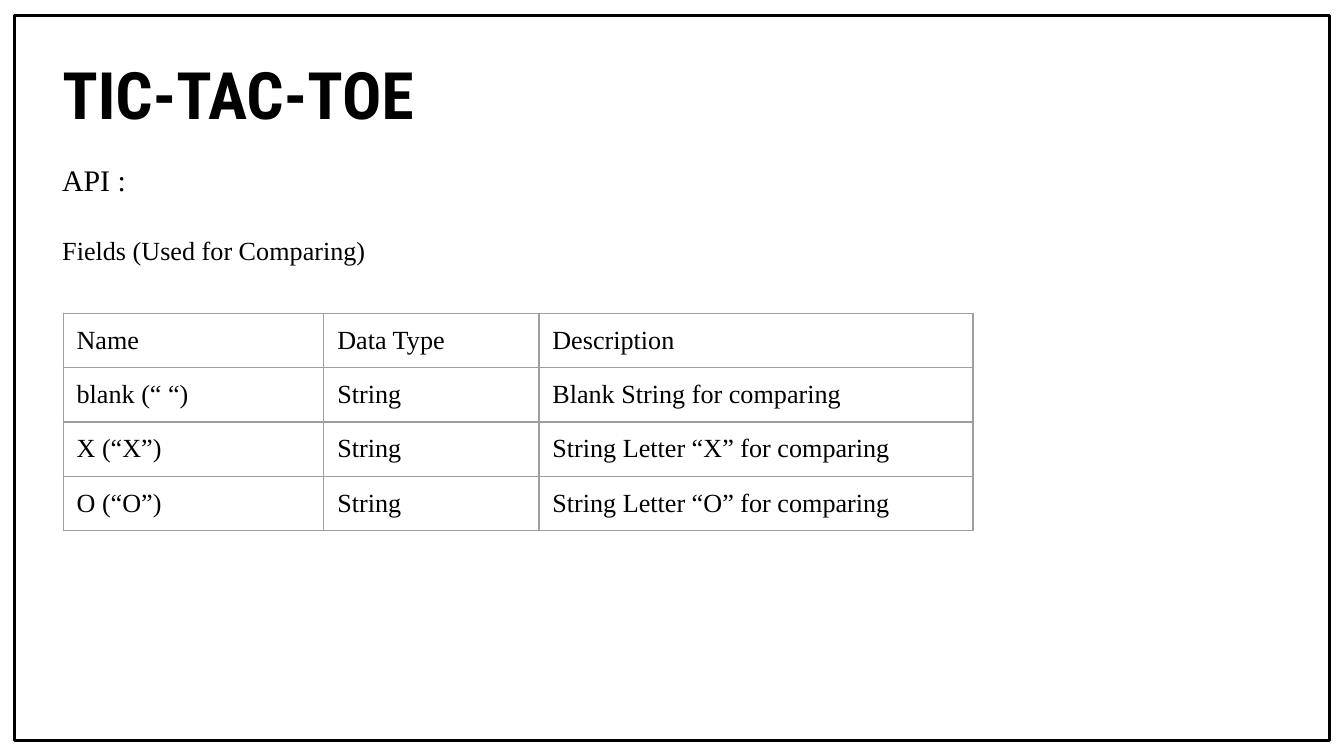
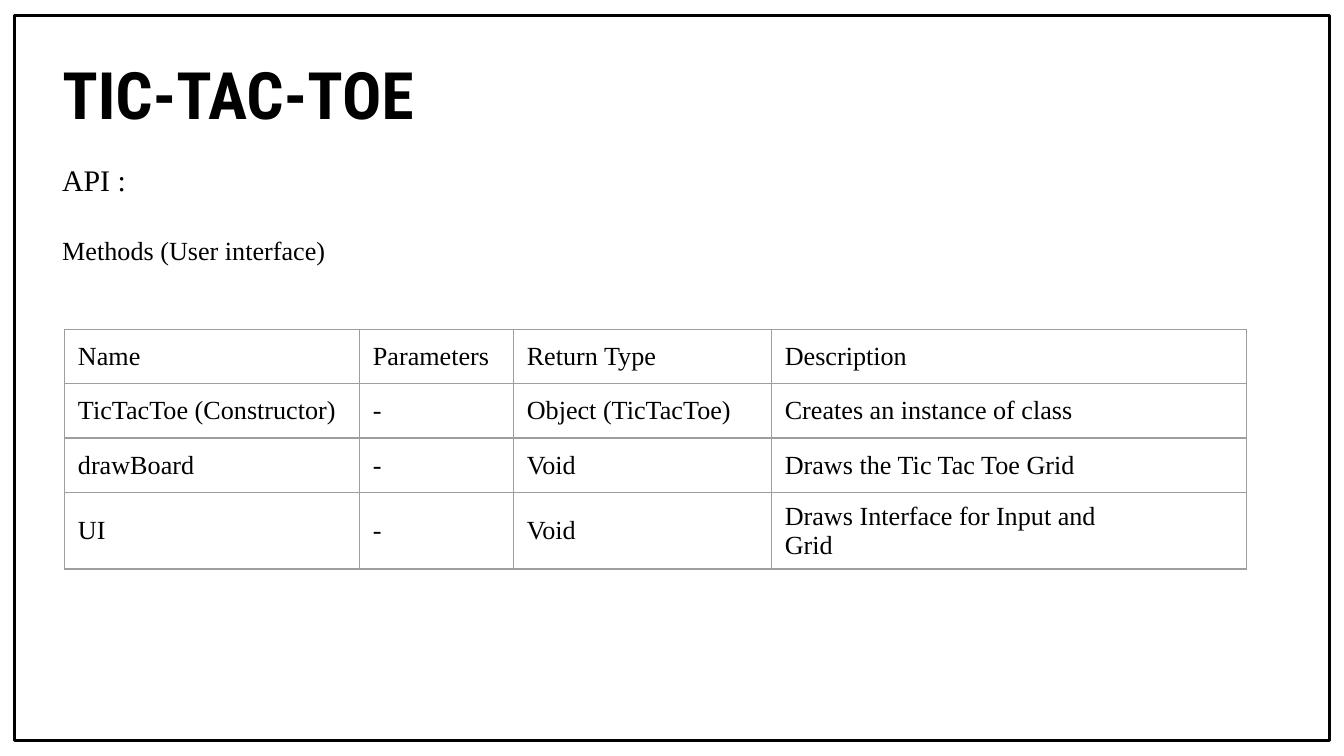
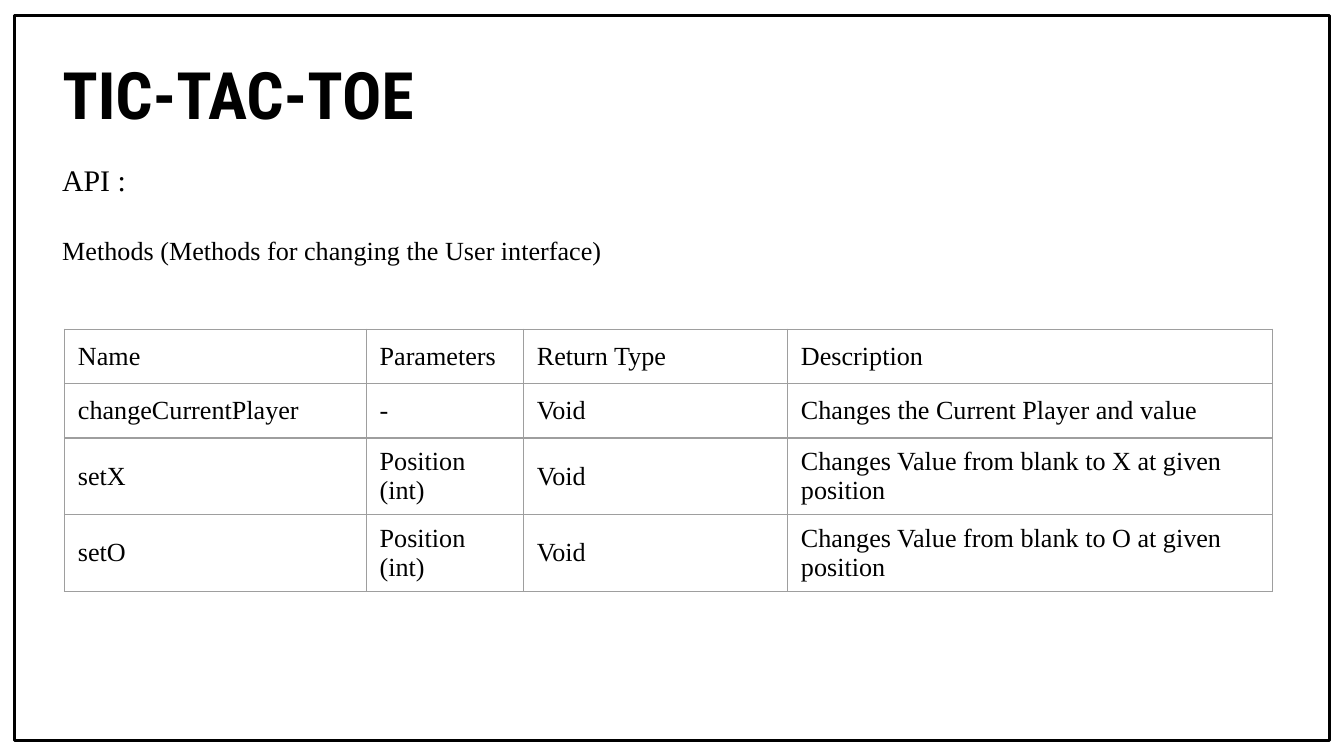
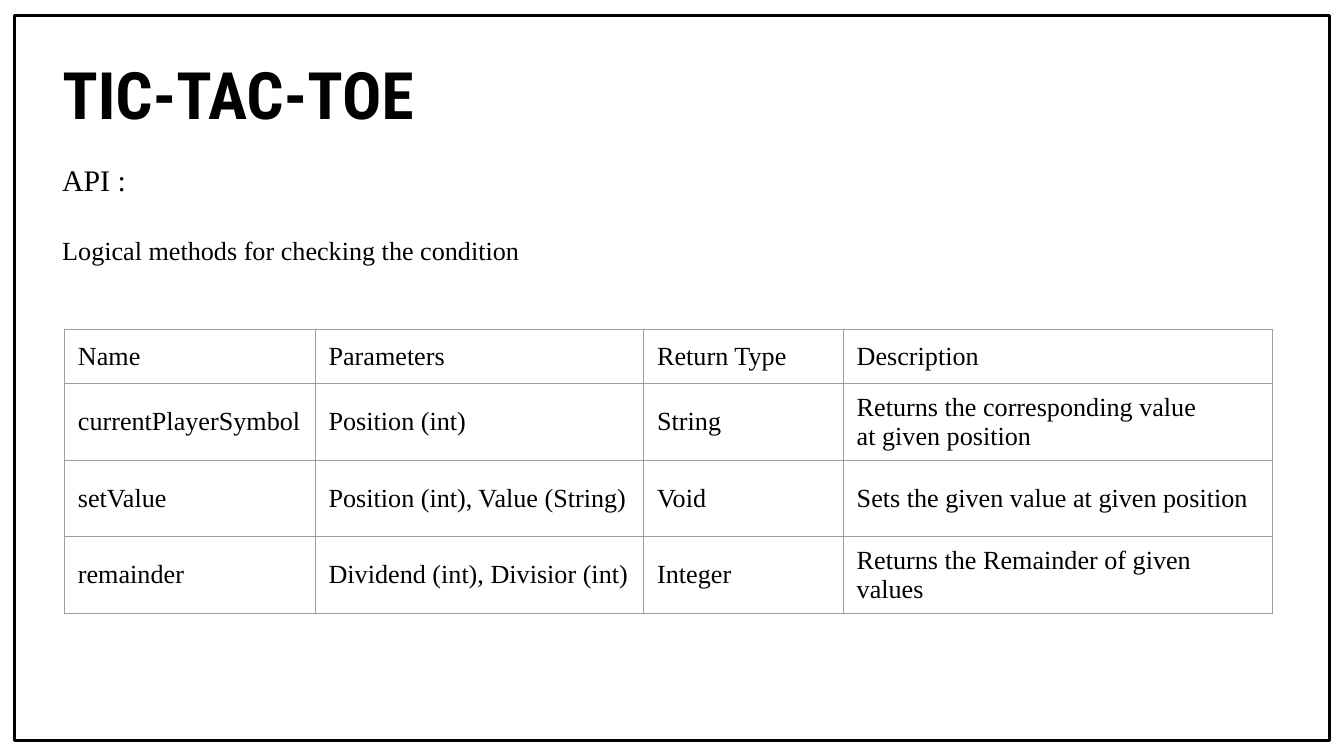
"""Build the four Tic-Tac-Toe API reference slides."""
from dataclasses import dataclass

from lxml.etree import SubElement
from pptx import Presentation
from pptx.dml.color import RGBColor
from pptx.enum.shapes import MSO_SHAPE
from pptx.enum.text import MSO_ANCHOR, MSO_AUTO_SIZE
from pptx.oxml.ns import qn
from pptx.util import Emu, Pt

EMU_PER_PX = 4572
SLIDE_WIDTH, SLIDE_HEIGHT = 2000, 1125
BLACK = "000000"
GRID_GREY = "9E9E9E"
GRID_WIDTH = Pt(0.75)
SERIF = "Times New Roman"
ROW, TALL_ROW = 81, 114
WIDE_INSET, NARROW_INSET = 20, 10


@dataclass(frozen=True)
class Box:
    left: int
    top: int
    width: int
    height: int


@dataclass(frozen=True)
class TextStyle:
    font: str
    size: int
    bold: bool = False


@dataclass(frozen=True)
class ApiPage:
    heading: str
    intro_width: int
    table_left: int
    table_top: int
    columns: tuple
    row_heights: tuple
    rows: tuple


TITLE_STYLE = TextStyle("Roboto Condensed", 35, True)
INTRO_STYLE = TextStyle(SERIF, 16)
BODY_STYLE = TextStyle(SERIF, 14)
FRAME = Box(22, 23, 1956, 1079)
TITLE = Box(73, 60, 838, 126)
METHOD_HEADER = ("Name", "Parameters", "Return Type", "Description")

PAGES = (
    ApiPage(
        "Fields (Used for Comparing)", 748, 94, 466, (388, 320, 646), (ROW,) * 4,
        (
            ("Name", "Data Type", "Description"),
            ("blank (“ “)", "String", "Blank String for comparing"),
            ("X (“X”)", "String", "String Letter “X” for comparing"),
            ("O (“O”)", "String", "String Letter “O” for comparing"),
        ),
    ),
    ApiPage(
        "Methods (User interface)", 748, 96, 490, (439, 229, 384, 707),
        (ROW, ROW, ROW, TALL_ROW),
        (
            METHOD_HEADER,
            ("TicTacToe (Constructor)", "-", "Object (TicTacToe)",
             "Creates an instance of class"),
            ("drawBoard", "-", "Void", "Draws the Tic Tac Toe Grid"),
            ("UI", "-", "Void", "Draws Interface for Input and\nGrid"),
        ),
    ),
    ApiPage(
        "Methods (Methods for changing the User interface)", 946, 96, 490,
        (449, 234, 393, 722), (ROW, ROW, TALL_ROW, TALL_ROW),
        (
            METHOD_HEADER,
            ("changeCurrentPlayer", "-", "Void", "Changes the Current Player and value"),
            ("setX", "Position (int)", "Void",
             "Changes Value from blank to X at given\nposition"),
            ("setO", "Position (int)", "Void",
             "Changes Value from blank to O at given\nposition"),
        ),
    ),
    ApiPage(
        "Logical methods for checking the condition", 1128, 96, 490,
        (373, 489, 297, 639), (ROW, TALL_ROW, TALL_ROW, TALL_ROW),
        (
            METHOD_HEADER,
            ("currentPlayerSymbol", "Position (int)", "String",
             "Returns the corresponding value\nat given position"),
            ("setValue", "Position (int), Value (String)", "Void",
             "Sets the given value at given position"),
            ("remainder", "Dividend (int), Divisior (int)", "Integer",
             "Returns the Remainder of given\nvalues"),
        ),
    ),
)


def px(length: int) -> Emu:
    return Emu(length * EMU_PER_PX)


def place(box: Box) -> tuple:
    return px(box.left), px(box.top), px(box.width), px(box.height)


def color(code: str) -> RGBColor:
    return RGBColor.from_string(code)


def apply_format(target, values: dict) -> None:
    for attribute, value in values.items():
        setattr(target, attribute, value)


def margins(vertical: int) -> dict:
    return {
        "margin_left": px(WIDE_INSET), "margin_right": px(WIDE_INSET),
        "margin_top": px(vertical), "margin_bottom": px(vertical),
    }


def write(paragraph, words: str, style: TextStyle) -> None:
    paragraph.text = words
    for run in paragraph.runs:
        apply_format(run.font, {"name": style.font, "size": Pt(style.size), "bold": style.bold})
        run.font.color.rgb = color(BLACK)
    for line_break in paragraph._p.findall(qn("a:br")):
        SubElement(line_break, qn("a:rPr"), sz=str(style.size * 100))


def add_text(slide, box: Box, lines: tuple, inset: int, gap: float = 0) -> None:
    frame = slide.shapes.add_textbox(*place(box)).text_frame
    apply_format(frame, {
        "word_wrap": True, "auto_size": MSO_AUTO_SIZE.NONE,
        "vertical_anchor": MSO_ANCHOR.TOP, **margins(inset),
    })
    for index, (words, style) in enumerate(lines):
        paragraph = frame.add_paragraph() if index else frame.paragraphs[0]
        write(paragraph, words, style)
        if index:
            paragraph.space_before = Pt(gap)


def add_frame(slide) -> None:
    border = slide.shapes.add_shape(MSO_SHAPE.RECTANGLE, *place(FRAME))
    border.shadow.inherit = False
    border.fill.background()
    border.line.color.rgb = color(BLACK)
    border.line.width = Pt(1.5)


def outline(cell) -> None:
    properties = cell._tc.get_or_add_tcPr()
    for side in ("lnL", "lnR", "lnT", "lnB"):
        edge = SubElement(properties, qn(f"a:{side}"), w=str(GRID_WIDTH))
        fill = SubElement(edge, qn("a:solidFill"))
        SubElement(fill, qn("a:srgbClr"), val=GRID_GREY)


def add_api_table(slide, page: ApiPage) -> None:
    box = Box(page.table_left, page.table_top, sum(page.columns), sum(page.row_heights))
    grid = slide.shapes.add_table(len(page.rows), len(page.columns), *place(box)).table
    apply_format(grid, {"first_row": False, "horz_banding": False})
    for column, width in zip(grid.columns, page.columns):
        column.width = px(width)
    for row, height, entries in zip(grid.rows, page.row_heights, page.rows):
        row.height = px(height)
        for cell, words in zip(row.cells, entries):
            apply_format(cell, {"vertical_anchor": MSO_ANCHOR.MIDDLE, **margins(NARROW_INSET)})
            outline(cell)
            cell.fill.background()
            write(cell.text_frame.paragraphs[0], words, BODY_STYLE)


def add_page(deck, page: ApiPage) -> None:
    slide = deck.slides.add_slide(deck.slide_layouts[6])
    add_frame(slide)
    add_text(slide, TITLE, (("TIC-TAC-TOE", TITLE_STYLE),), WIDE_INSET)
    intro = (("API :", INTRO_STYLE), (page.heading, BODY_STYLE))
    add_text(slide, Box(73, 231, page.intro_width, 228), intro, NARROW_INSET, gap=19.5)
    add_api_table(slide, page)


def main() -> None:
    deck = Presentation()
    apply_format(deck, {"slide_width": px(SLIDE_WIDTH), "slide_height": px(SLIDE_HEIGHT)})
    for page in PAGES:
        add_page(deck, page)
    deck.save("out.pptx")


if __name__ == "__main__":
    main()
